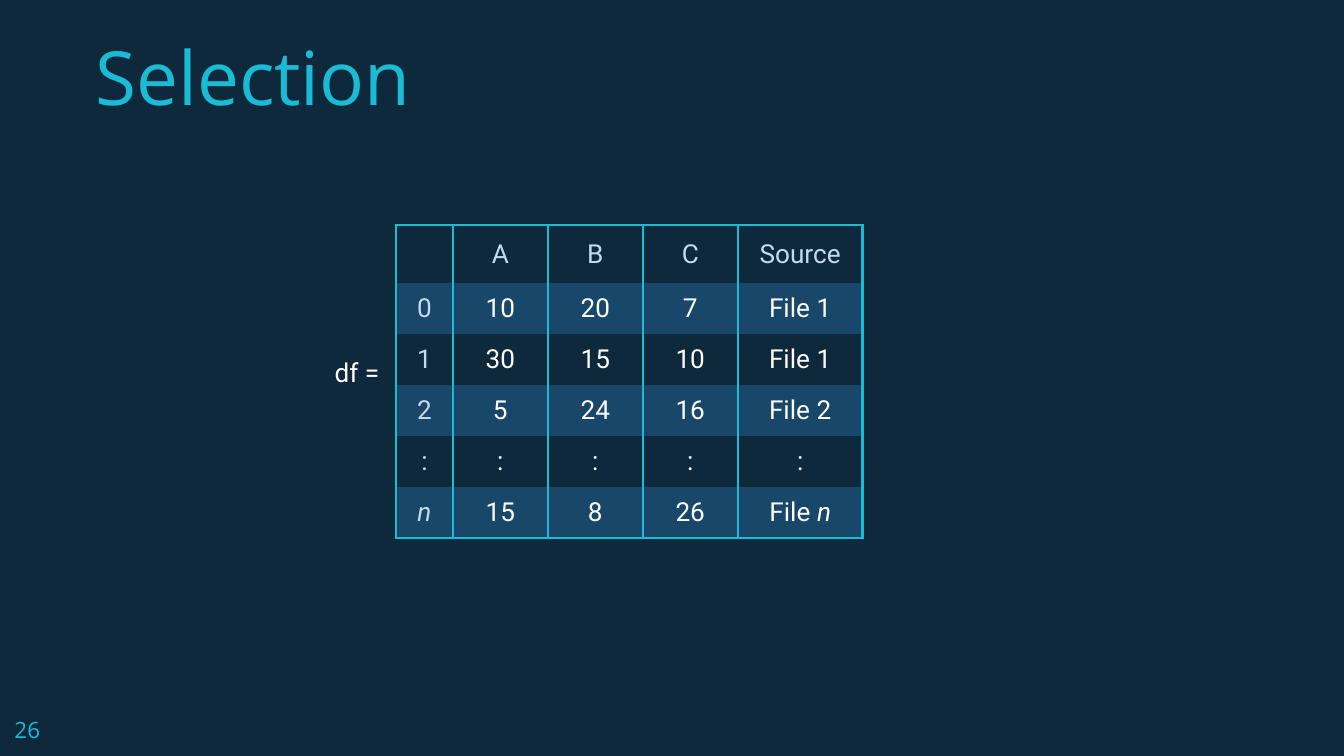
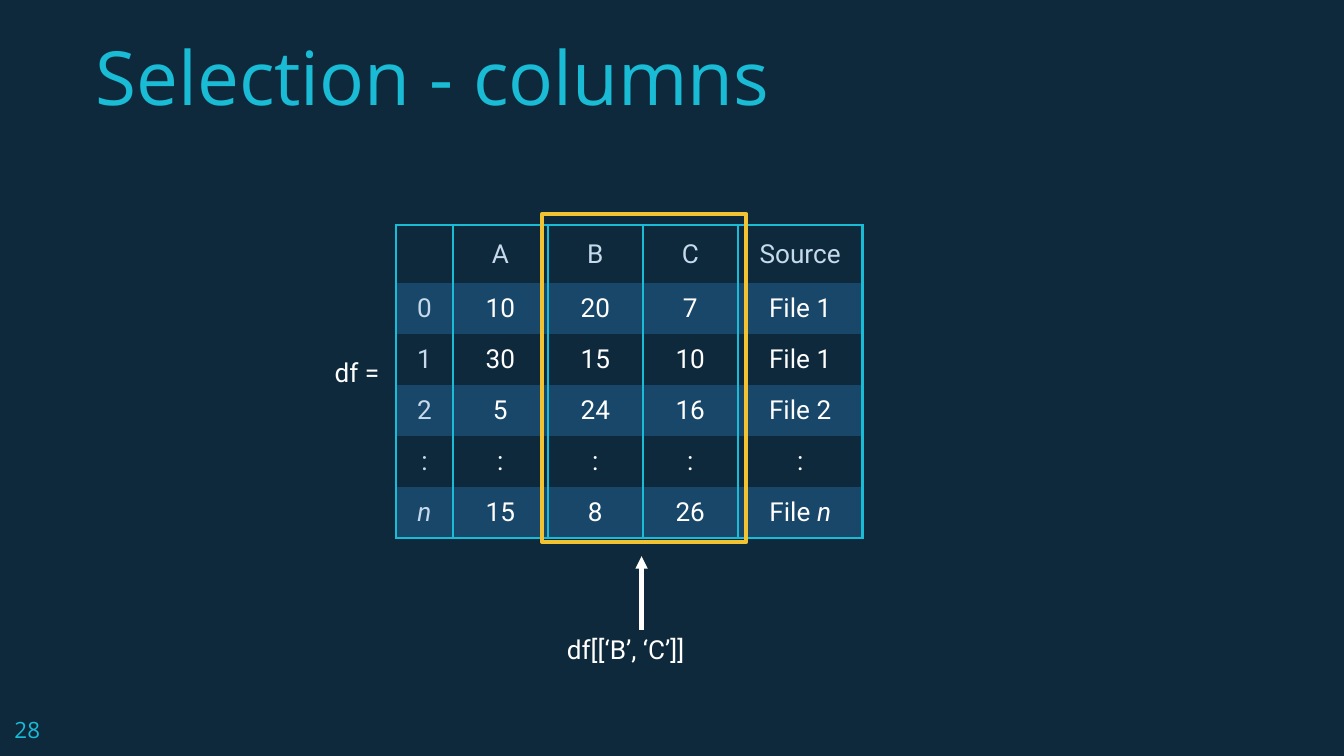
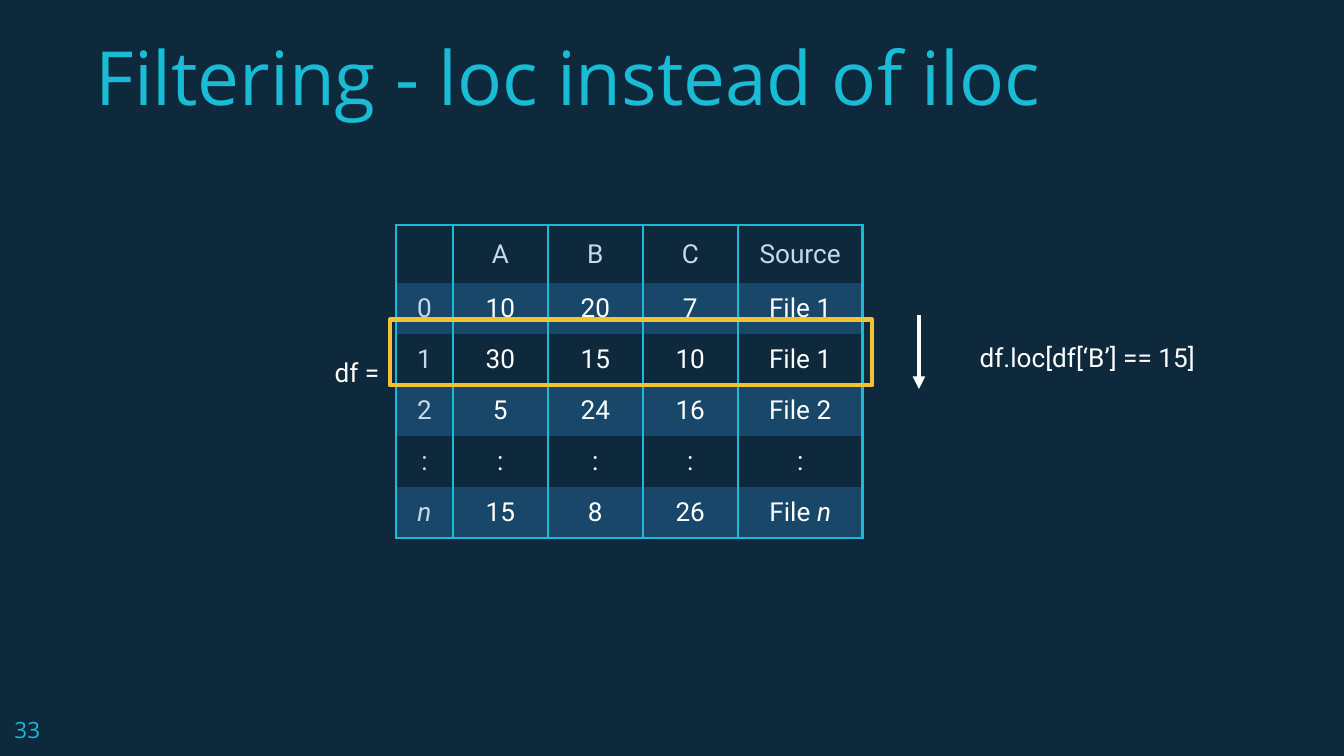
from lxml.etree import SubElement as Sub
from pptx import Presentation
from pptx.dml.color import RGBColor as Rgb
from pptx.enum.shapes import MSO_CONNECTOR as Link, MSO_SHAPE as Form
from pptx.enum.text import MSO_ANCHOR as Anchor, MSO_AUTO_SIZE as Auto, PP_ALIGN as Align
from pptx.oxml.ns import qn
from pptx.util import Pt

NAVY = Rgb(0x0E, 0x29, 0x3C)
BLUE = Rgb(0x18, 0x47, 0x69)
CYAN = Rgb(0x19, 0xBB, 0xD5)
PALE = Rgb(0xC6, 0xDA, 0xEC)
GOLD = Rgb(0xF1, 0xC2, 0x32)
WHITE = Rgb(0xFF, 0xFF, 0xFF)

HEAD = {"name": "Open Sans", "size": Pt(40), "color": CYAN}
FOOT = {"name": "Open Sans", "size": Pt(12), "color": CYAN}
BODY = {"name": "Roboto", "size": Pt(14), "color": WHITE}
LABEL = {**BODY, "color": PALE}
PADS = {"margin_" + side: Pt(7.2) for side in ("left", "top", "right", "bottom")}
FRAME = {**PADS, "word_wrap": True, "auto_size": Auto.NONE}
CELL = {
    "margin_left": Pt(7.2),
    "margin_right": Pt(7.2),
    "margin_top": Pt(5),
    "margin_bottom": Pt(5),
    "vertical_anchor": Anchor.MIDDLE,
}

GRID = [
    ["", "A", "B", "C", "Source"],
    ["0", "10", "20", "7", "File 1"],
    ["1", "30", "15", "10", "File 1"],
    ["2", "5", "24", "16", "File 2"],
    [":"] * 5,
    ["n", "15", "8", "26", "File n"],
]
WIDE = [30.4, 50.9, 50.9, 50.9, 66.9]
HIGH = [31.1] + [27.3] * 5

SLIDES = [
    {"page": "26", "title": "Selection"},
    {
        "page": "28",
        "title": "Selection - columns",
        "frame": (290.4, 114.6, 109.4, 175.8),
        "note": ("df[[‘B’, ‘C’]]", 296.6, 332),
        "arrow": (343.7, 337.5, 343.7, 298),
    },
    {
        "page": "33",
        "title": "Filtering - loc instead of iloc",
        "frame": (208.8, 171.2, 258.5, 35.3),
        "note": ("df.loc[df[‘B’] == 15]", 517.7, 175.6),
        "arrow": (492.3, 169, 492.3, 208.4),
    },
]


def write(para, text, style, slant=False):
    run = para.add_run()
    run.text = text
    run.font.italic = slant
    for key, val in style.items():
        if key == "color":
            run.font.color.rgb = val
        else:
            setattr(run.font, key, val)


def label(slide, text, style, *box):
    shape = slide.shapes.add_textbox(*map(Pt, box))
    for key, val in FRAME.items():
        setattr(shape.text_frame, key, val)
    write(shape.text_frame.paragraphs[0], text, style)


prs = Presentation()
prs.slide_width, prs.slide_height = Pt(720), Pt(405)
back = prs.slide_master.background.fill
back.solid()
back.fore_color.rgb = NAVY

for item in SLIDES:
    slide = prs.slides.add_slide(prs.slide_layouts[5])
    label(slide, item["page"], FOOT, 0.7, 376.5, 43.2, 28)

    title = slide.shapes.title
    title.left, title.top, title.width, title.height = map(Pt, (44, 21, 627, 51))
    for key, val in {**FRAME, "vertical_anchor": Anchor.BOTTOM}.items():
        setattr(title.text_frame, key, val)
    para = title.text_frame.paragraphs[0]
    para.alignment = Align.LEFT
    write(para, item["title"], HEAD)

    table = slide.shapes.add_table(
        len(HIGH), len(WIDE), Pt(212.2), Pt(120.6), Pt(sum(WIDE)), Pt(sum(HIGH))
    ).table
    table.first_row = table.horz_banding = False
    for col, size in zip(table.columns, WIDE):
        col.width = Pt(size)
    for row, size in zip(table.rows, HIGH):
        row.height = Pt(size)

    for r, row in enumerate(GRID):
        for c, text in enumerate(row):
            cell = table.cell(r, c)
            for key, val in CELL.items():
                setattr(cell, key, val)
            para = cell.text_frame.paragraphs[0]
            para.alignment = Align.CENTER
            style = LABEL if r == 0 or c == 0 else BODY
            lead, mark, _ = text.partition("n")
            if lead or not mark:
                write(para, lead, style)
            if mark:
                write(para, mark, style, True)

            edges = {"L": True, "R": True, "T": r == 0, "B": r == len(GRID) - 1}
            props = cell._tc.get_or_add_tcPr()
            for side, shown in edges.items():
                line = Sub(props, qn("a:ln" + side), w=str(Pt(1.5)))
                if shown:
                    Sub(Sub(line, qn("a:solidFill")), qn("a:srgbClr"), val=str(CYAN))
                else:
                    Sub(line, qn("a:noFill"))
            cell.fill.solid()
            cell.fill.fore_color.rgb = BLUE if r % 2 else NAVY

    label(slide, "df =", BODY, 172.2, 183.9, 118, 64)

    if "frame" in item:
        frame = slide.shapes.add_shape(Form.RECTANGLE, *map(Pt, item["frame"]))
        frame.shadow.inherit = False
        frame.fill.background()
        frame.line.color.rgb = GOLD
        frame.line.width = Pt(2.25)

        text, left, top = item["note"]
        label(slide, text, BODY, left, top, 181.5, 38)

        arrow = slide.shapes.add_connector(Link.STRAIGHT, *map(Pt, item["arrow"]))
        arrow.line.color.rgb = WHITE
        arrow.line.width = Pt(2.25)
        Sub(arrow.line._get_or_add_ln(), qn("a:tailEnd"), type="triangle")
        Sub(arrow._element.spPr, qn("a:effectLst"))

prs.save("out.pptx")
